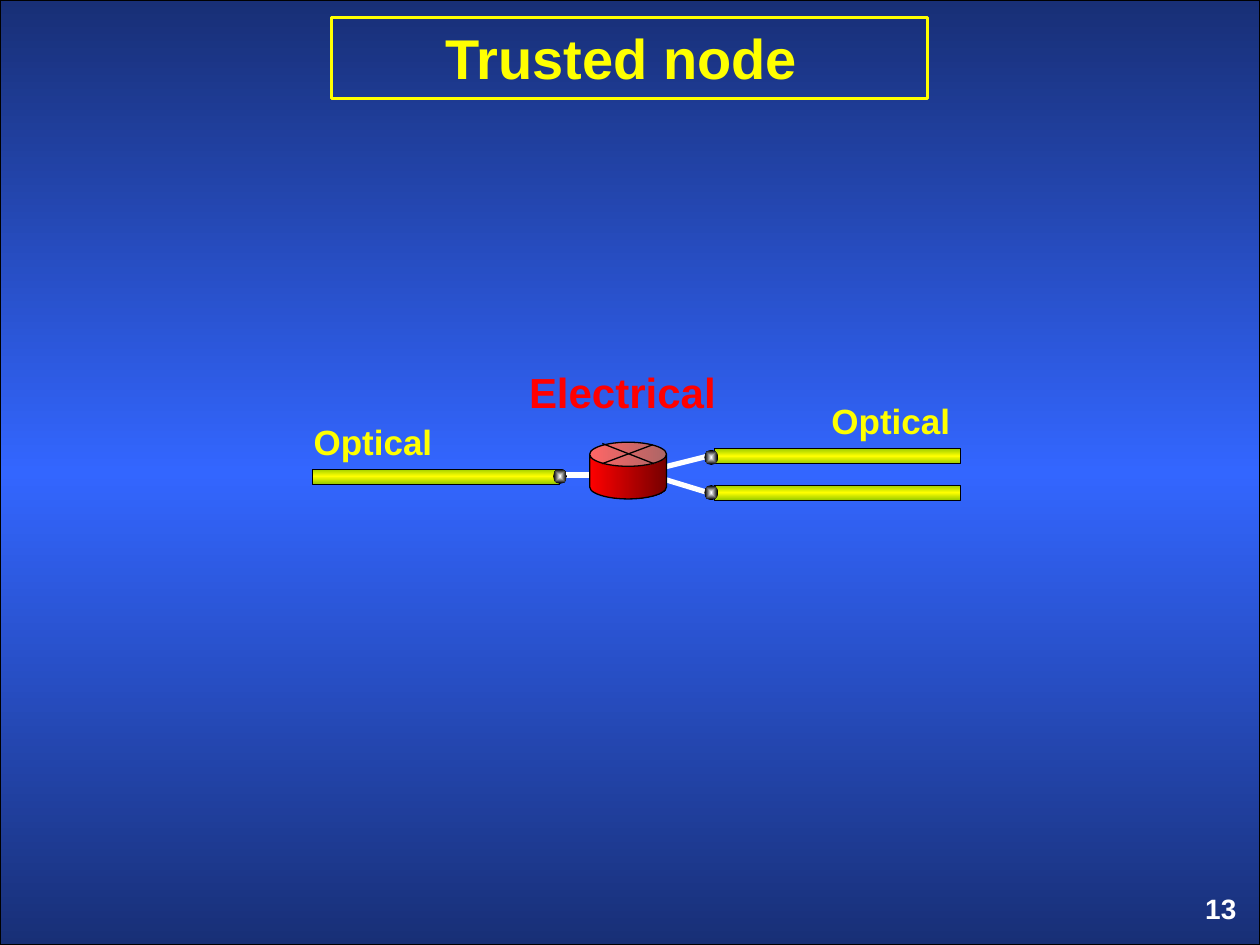
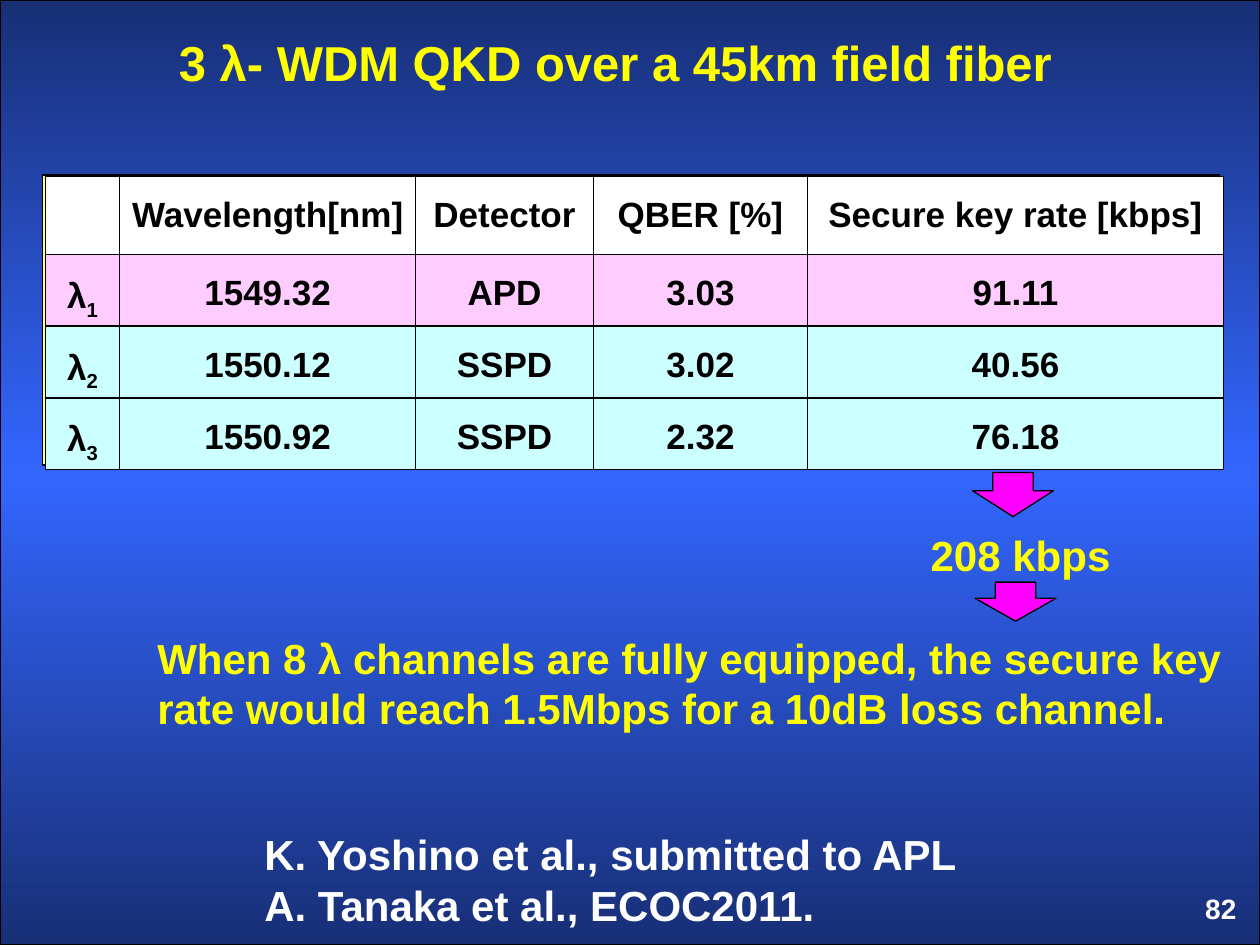
from lxml import etree
from pptx import Presentation
from pptx.dml.color import RGBColor
from pptx.enum.shapes import MSO_CONNECTOR, MSO_SHAPE
from pptx.enum.text import MSO_ANCHOR, PP_ALIGN
from pptx.oxml import parse_xml
from pptx.oxml.ns import qn
from pptx.util import Inches, Pt

FONT = "Arial"
YELLOW, WHITE, BLACK = "FFFF00", "FFFFFF", "000000"
RED, MAGENTA, PINK, CYAN = "FF0000", "FF00FF", "FFCCFF", "CCFFFF"
DRAWING_NS = "http://schemas.openxmlformats.org/drawingml/2006/main"

DOWN = '<a:lin ang="5400000" scaled="0"/>'
ACROSS = '<a:lin ang="0" scaled="0"/>'
OUTWARD = ('<a:path path="shape">'
           '<a:fillToRect l="50000" t="50000" r="50000" b="50000"/></a:path>')
BACKDROP = ([(0, "182F76"), (50, "3366FF"), (100, "182F76")], DOWN)
FIBER = ([(0, "99CC00"), (50, YELLOW), (100, "99CC00")], DOWN)
COUPLER = ([(0, WHITE), (91, BLACK)], OUTWARD)
NODE = ([(0, RED), (100, "760000")], ACROSS)

# Trusted node
FIBERS = [(2.48, 3.72, 1.96), (5.67, 3.56, 1.95), (5.67, 3.85, 1.95)]
COUPLERS = [(4.39, 3.72), (5.59, 3.57), (5.59, 3.85)]
LINKS = [(5.18, 3.73, 5.62, 3.62), (5.26, 3.8, 5.62, 3.91), (4.48, 3.77, 4.75, 3.77)]
NODE_CROSS = [(5.18, 3.53, 4.78, 3.68), (4.78, 3.52, 5.19, 3.68)]
NODE_LABELS = [
    ("Optical", (2.39, 3.29, 1.22, 0.43), 20, YELLOW),
    ("Electrical", (4.1, 2.86, 1.79, 0.5), 24, RED),
    ("Optical", (6.5, 3.12, 1.22, 0.43), 20, YELLOW),
]

# Wavelength results
COLUMN_WIDTHS = [0.59, 2.35, 1.41, 1.7, 3.3]
ROW_HEIGHTS = [0.62, 0.56, 0.56, 0.56]
ROW_FILLS = [WHITE, PINK, CYAN, CYAN]
RESULTS = [
    ["", "Wavelength[nm]", "Detector", "QBER [%]", "Secure key rate [kbps]"],
    [("λ", "1"), "1549.32", "APD", "3.03", "91.11"],
    [("λ", "2"), "1550.12", "SSPD", "3.02", "40.56"],
    [("λ", "3"), "1550.92", "SSPD", "2.32", "76.18"],
]
ARROWS = [(7.72, 3.75, 0.64, 0.35), (7.74, 4.62, 0.64, 0.31)]
CONCLUSION = ("When 8 λ channels are fully equipped, the secure key rate "
              "would reach 1.5Mbps for a 10dB loss channel.")
REFERENCES = ["K. Yoshino et al., submitted to APL", "A. Tanaka et al., ECOC2011."]


def color(value):
    return RGBColor.from_string(value)


def set_gradient(shape, stops, direction):
    marks = "".join(f'<a:gs pos="{position * 1000}"><a:srgbClr val="{value}"/></a:gs>'
                    for position, value in stops)
    gradient = parse_xml(f'<a:gradFill xmlns:a="{DRAWING_NS}" rotWithShape="1">'
                         f'<a:gsLst>{marks}</a:gsLst>{direction}</a:gradFill>')
    shape._element.spPr.find(qn("a:prstGeom")).addnext(gradient)


def add_block(page, kind, place, fill=None, line=None, width=0.75):
    """Add a preset shape; fill is a colour, a (stops, direction) pair or None."""
    shape = page.shapes.add_shape(kind, *map(Inches, place))
    shape.shadow.inherit = False
    if isinstance(fill, tuple):
        set_gradient(shape, *fill)
    elif fill:
        shape.fill.solid()
        shape.fill.fore_color.rgb = color(fill)
    else:
        shape.fill.background()
    if line:
        shape.line.color.rgb = color(line)
        shape.line.width = Pt(width)
    else:
        shape.line.fill.background()
    return shape


def add_line(page, ends, line, width):
    connector = page.shapes.add_connector(MSO_CONNECTOR.STRAIGHT, *map(Inches, ends))
    connector.line.color.rgb = color(line)
    connector.line.width = Pt(width)
    etree.SubElement(connector._element.spPr, qn("a:effectLst"))


def add_span(para, text, size, ink):
    span = para.add_run()
    span.text = text
    span.font.name = FONT
    span.font.size = Pt(size)
    span.font.bold = True
    span.font.color.rgb = color(ink)
    return span


def write(frame, lines, size, ink, align=PP_ALIGN.LEFT, wrap=True, spacing=None):
    frame.word_wrap = wrap
    frame.vertical_anchor = MSO_ANCHOR.TOP
    for index, text in enumerate(lines):
        para = frame.add_paragraph() if index else frame.paragraphs[0]
        para.alignment = align
        if spacing:
            para.line_spacing = spacing
        add_span(para, text, size, ink)


def add_text(page, place, lines, size, ink, **style):
    box = page.shapes.add_textbox(*map(Inches, place))
    write(box.text_frame, lines, size, ink, **style)


def add_page(deck, number, title, place, size, right_inset, frame_line=None):
    """Add a page with the shared backdrop, page number and title."""
    page = deck.slides.add_slide(deck.slide_layouts[6])
    add_block(page, MSO_SHAPE.RECTANGLE, (0, 0, 10, 7.5), BACKDROP, BLACK)
    add_text(page, (9.13, 7.03, 0.78, 0.52), [number], 16, WHITE, align=PP_ALIGN.RIGHT)
    heading = add_block(page, MSO_SHAPE.RECTANGLE, place, None, frame_line, 1.5)
    heading.text_frame.margin_right = Inches(right_inset)
    write(heading.text_frame, [title], size, YELLOW, align=PP_ALIGN.CENTER)
    return page


def add_node_page(deck):
    page = add_page(deck, "13", "Trusted node", (2.63, 0.14, 4.73, 0.64), 32, 0.22, YELLOW)
    for left, top, length in FIBERS:
        add_block(page, MSO_SHAPE.RECTANGLE, (left, top, length, 0.12), FIBER, BLACK, 0.25)
    for ends in LINKS:
        add_line(page, ends, WHITE, 3)
    for left, top in COUPLERS:
        add_block(page, MSO_SHAPE.OVAL, (left, top, 0.11, 0.12), COUPLER)
    node = add_block(page, MSO_SHAPE.CAN, (4.68, 3.51, 0.61, 0.45), NODE, BLACK)
    node.adjustments[0] = 0.425
    for ends in NODE_CROSS:
        add_line(page, ends, BLACK, 0.75)
    for text, place, size, ink in NODE_LABELS:
        add_text(page, place, [text], size, ink, wrap=False)


def set_borders(cell):
    properties = cell._tc.get_or_add_tcPr()
    for index, side in enumerate(("lnL", "lnR", "lnT", "lnB")):
        properties.insert(index, parse_xml(
            f'<a:{side} xmlns:a="{DRAWING_NS}" w="12700"><a:solidFill>'
            f'<a:srgbClr val="{BLACK}"/></a:solidFill></a:{side}>'))


def fill_cell(cell, content, fill):
    """Write text, or a (symbol, subscript) pair, into a table cell."""
    cell.margin_left = cell.margin_right = Inches(0.02)
    cell.margin_top = cell.margin_bottom = 0
    cell.fill.solid()
    cell.fill.fore_color.rgb = color(fill)
    set_borders(cell)
    if not content:
        return
    para = cell.text_frame.paragraphs[0]
    para.alignment = PP_ALIGN.CENTER
    para.line_spacing = 1.5
    symbol, *subscript = content if isinstance(content, tuple) else (content,)
    add_span(para, symbol, 20, BLACK)
    for text in subscript:
        span = add_span(para, text, 20, BLACK)
        span.font._element.set("baseline", "-25000")


def add_results(page):
    place = (0.36, 1.4, sum(COLUMN_WIDTHS), sum(ROW_HEIGHTS))
    table = page.shapes.add_table(len(RESULTS), len(COLUMN_WIDTHS), *map(Inches, place)).table
    table.first_row = table.horz_banding = False
    for column, width in zip(table.columns, COLUMN_WIDTHS):
        column.width = Inches(width)
    for row, height, contents, fill in zip(table.rows, ROW_HEIGHTS, RESULTS, ROW_FILLS):
        row.height = Inches(height)
        for cell, content in zip(row.cells, contents):
            fill_cell(cell, content, fill)


def add_results_page(deck):
    page = add_page(deck, "82", "3 λ- WDM QKD over a 45km field fiber",
                    (1.31, 0.21, 7.37, 0.57), 28, 0.32)
    add_block(page, MSO_SHAPE.RECTANGLE, (0.34, 1.39, 9.34, 2.3), "FFFF99", BLACK)
    add_results(page)
    add_text(page, (2, 6.53, 5.97, 0.91), REFERENCES, 24, WHITE)
    add_text(page, (7.28, 3.95, 1.64, 0.71), ["208 kbps"], 24, YELLOW,
             align=PP_ALIGN.CENTER, wrap=False, spacing=1.5)
    add_text(page, (1.15, 4.97, 8.7, 0.91), [CONCLUSION], 24, YELLOW)
    for place in ARROWS:
        arrow = add_block(page, MSO_SHAPE.DOWN_ARROW, place, MAGENTA, BLACK)
        arrow.adjustments[0] = 0.5
        arrow.adjustments[1] = 0.584


def main():
    deck = Presentation()
    deck.slide_width, deck.slide_height = Inches(10), Inches(7.5)
    add_node_page(deck)
    add_results_page(deck)
    deck.save("out.pptx")


if __name__ == "__main__":
    main()
